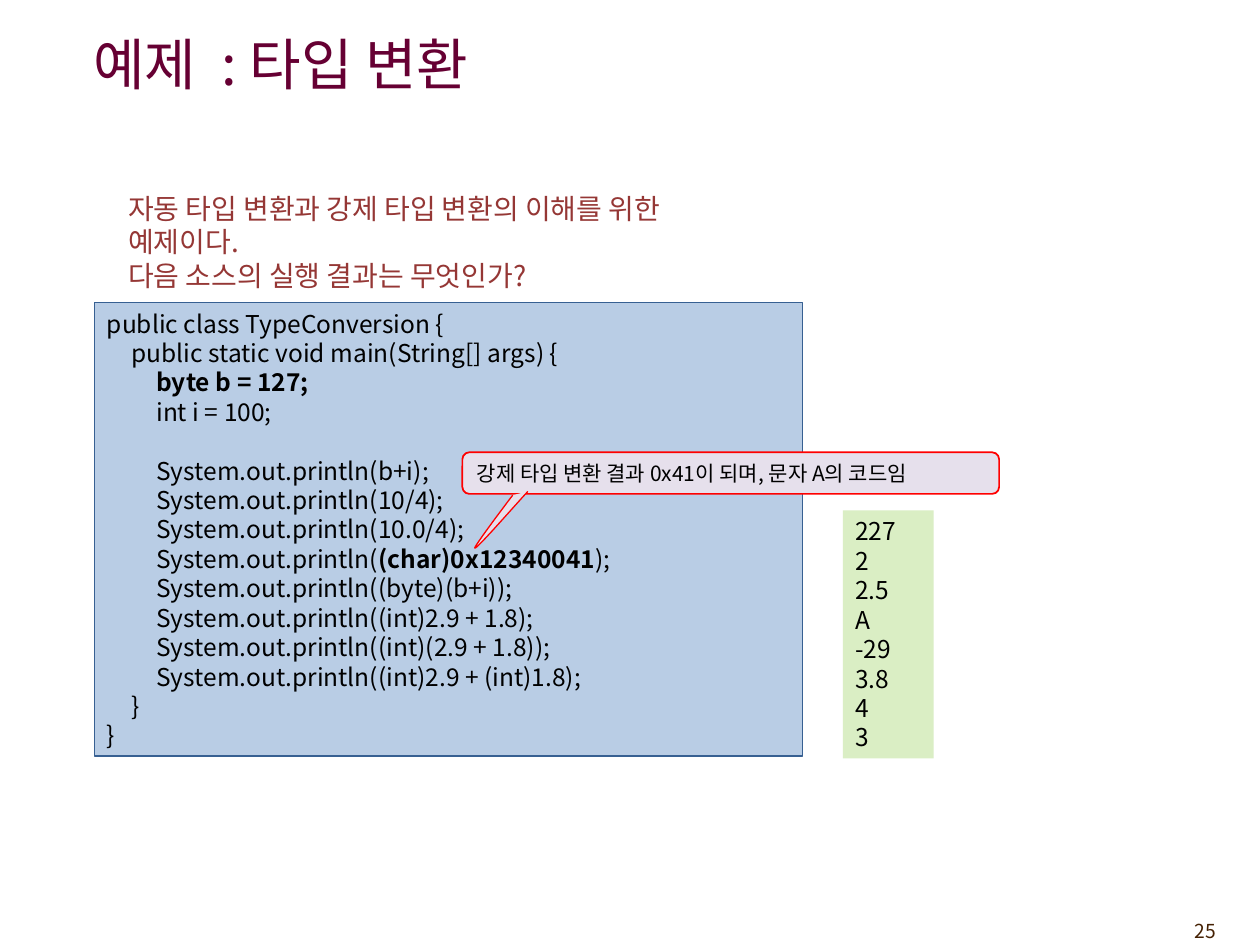
"""Build the type conversion example slide."""
from dataclasses import dataclass
from typing import Optional

from lxml.etree import SubElement
from pptx import Presentation
from pptx.dml.color import RGBColor
from pptx.enum.shapes import MSO_SHAPE
from pptx.enum.text import MSO_ANCHOR as Anchor, MSO_AUTO_SIZE as AutoSize, PP_ALIGN as Align
from pptx.oxml.ns import qn
from pptx.util import Inches, Pt

FONT = "Noto Sans CJK KR"
RED = "FF0000"
LAVENDER = "E6E0EC"
BOLD_MARK = "*"
TAB_STEP = 0.196
TAB_COUNT = 8

CODE = [
    "public class TypeConversion {",
    "\tpublic static void main(String[] args) {",
    "\t\t*byte b = 127;*",
    "\t\tint i = 100;",
    "",
    "\t\tSystem.out.println(b+i);",
    "\t\tSystem.out.println(10/4);",
    "\t\tSystem.out.println(10.0/4);",
    "\t\tSystem.out.println(*(char)0x12340041*);",
    "\t\tSystem.out.println((byte)(b+i));",
    "\t\tSystem.out.println((int)2.9 + 1.8);",
    "\t\tSystem.out.println((int)(2.9 + 1.8));",
    "\t\tSystem.out.println((int)2.9 + (int)1.8);",
    "\t}",
    "}",
]
RESULTS = ["227", "2", "2.5", "A", "-29", "3.8", "4", "3"]
QUESTION = [
    "자동 타입 변환과 강제 타입 변환의 이해를 위한 예제이다.",
    "다음 소스의 실행 결과는 무엇인가?",
]


@dataclass
class TextStyle:
    """Look of the text in one box."""
    size: float
    color: str = "000000"
    align: Align = Align.LEFT
    anchor: Anchor = Anchor.TOP
    code_tabs: bool = False


@dataclass
class Panel:
    """A filled shape with lines of text."""
    preset: MSO_SHAPE
    box: tuple
    fill: str
    lines: list
    style: TextStyle
    line: Optional[str] = None
    line_width: float = 0.75


PANELS = [
    Panel(MSO_SHAPE.RECTANGLE, (0.75, 2.4, 5.62, 3.6), "B9CDE5", CODE,
          TextStyle(14, code_tabs=True), line="376092"),
    Panel(MSO_SHAPE.RECTANGLE, (6.69, 4.05, 0.72, 1.97), "DAEEC4", RESULTS, TextStyle(14)),
    Panel(MSO_SHAPE.ROUNDED_RECTANGLE, (3.67, 3.59, 4.26, 0.33), LAVENDER,
          ["강제 타입 변환 결과 0x41이 되며, 문자 A의 코드임"], TextStyle(12),
          line=RED, line_width=1),
]
POINTER_CURVES = [
    [(4.07, 3.93), (3.91, 4.14), (3.75, 4.36), (3.77, 4.35)],
    [(3.77, 4.35), (3.79, 4.35), (3.99, 4.12), (4.19, 3.9)],
]


def rgb(color: str) -> RGBColor:
    """Turn a hex string into a colour."""
    return RGBColor.from_string(color)


def set_values(target, values: dict) -> None:
    """Set each named attribute on the target."""
    for name, value in values.items():
        setattr(target, name, value)


def add_code_tabs(paragraph) -> None:
    """Give a paragraph evenly spaced tab stops."""
    tab_list = SubElement(paragraph._p.get_or_add_pPr(), qn("a:tabLst"))
    for index in range(TAB_COUNT):
        SubElement(tab_list, qn("a:tab"), pos=str(Inches(index * TAB_STEP)), algn="l")


def write_text(shape, lines: list, style: TextStyle) -> None:
    """Write lines into a shape, with marked parts in bold."""
    frame = shape.text_frame
    set_values(frame, {
        "word_wrap": True, "auto_size": AutoSize.NONE, "vertical_anchor": style.anchor,
        "margin_left": Inches(0.1), "margin_right": Inches(0.1),
        "margin_top": Inches(0.05), "margin_bottom": Inches(0.05),
    })
    for index, line in enumerate(lines):
        paragraph = frame.add_paragraph() if index else frame.paragraphs[0]
        if style.code_tabs:
            add_code_tabs(paragraph)
        set_values(paragraph, {"alignment": style.align, "line_spacing": Pt(style.size * 1.2)})
        paragraph.font.size = Pt(style.size)
        for part, text in enumerate(line.split(BOLD_MARK)):
            if text:
                run = paragraph.add_run()
                run.text = text
                set_values(run.font, {"name": FONT, "size": Pt(style.size), "bold": part % 2 == 1})
                run.font.color.rgb = rgb(style.color)
                SubElement(run._r.get_or_add_rPr(), qn("a:ea"), typeface=FONT)


def paint(shape, fill: str, line: Optional[str], width: float) -> None:
    """Set the fill and outline of a shape."""
    shape.shadow.inherit = False
    shape.fill.solid()
    shape.fill.fore_color.rgb = rgb(fill)
    if line:
        shape.line.color.rgb = rgb(line)
        shape.line.width = Pt(width)
    else:
        shape.line.fill.background()


def add_panel(slide, panel: Panel) -> None:
    """Draw one panel."""
    shape = slide.shapes.add_shape(panel.preset, *map(Inches, panel.box))
    paint(shape, panel.fill, panel.line, panel.line_width)
    write_text(shape, panel.lines, panel.style)


def add_text(slide, box: tuple, lines: list, style: TextStyle) -> None:
    """Add a plain text box."""
    write_text(slide.shapes.add_textbox(*map(Inches, box)), lines, style)


def curve_point(controls: list, t: float) -> tuple:
    """Return a point on a cubic curve."""
    weights = ((1 - t) ** 3, 3 * t * (1 - t) ** 2, 3 * t ** 2 * (1 - t), t ** 3)
    return tuple(Inches(sum(w * p[axis] for w, p in zip(weights, controls))) for axis in (0, 1))


def add_pointer(slide, steps: int = 12) -> None:
    """Draw the open pointer below the callout."""
    start, *points = [curve_point(curve, step / steps)
                      for curve in POINTER_CURVES for step in range(steps + 1)]
    builder = slide.shapes.build_freeform(*start)
    builder.add_line_segments(points, close=False)
    paint(builder.convert_to_shape(), LAVENDER, RED, 0.75)


def main() -> None:
    """Build and save the presentation."""
    presentation = Presentation()
    set_values(presentation, {"slide_width": Inches(10), "slide_height": Inches(7.5)})
    slide = presentation.slides.add_slide(presentation.slide_layouts[5])
    title = slide.shapes.title
    set_values(title, {"left": Inches(0.64), "top": Inches(0.13),
                       "width": Inches(8.92), "height": Inches(0.74)})
    write_text(title, ["예제  : 타입 변환"], TextStyle(32, "660033", anchor=Anchor.MIDDLE))
    add_text(slide, (8.92, 7.25, 0.83, 0.29), ["25"], TextStyle(11, "452103", Align.RIGHT))
    add_text(slide, (0.92, 1.47, 5.2, 0.64), QUESTION, TextStyle(16, "953735"))
    for panel in PANELS:
        add_panel(slide, panel)
    add_pointer(slide)
    presentation.save("out.pptx")


if __name__ == "__main__":
    main()
